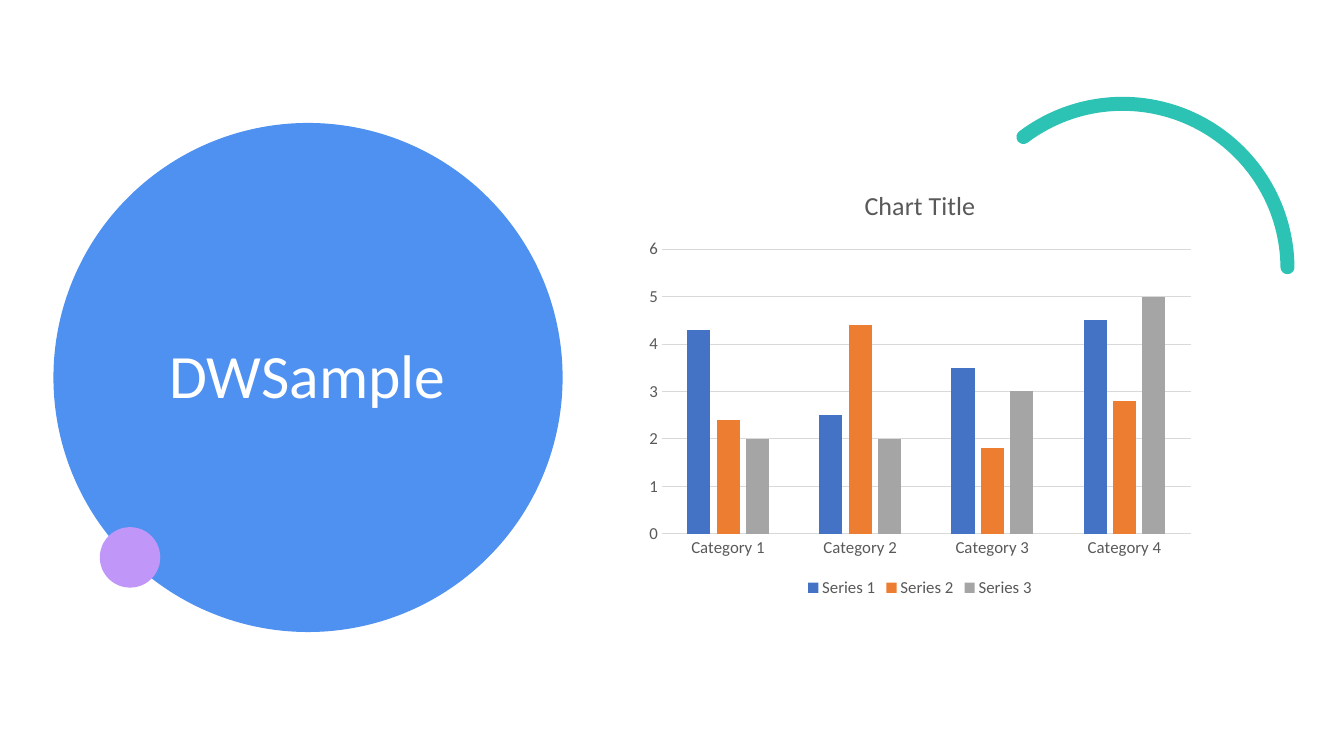
from pptx import Presentation
from pptx.chart.data import CategoryChartData as Data
from pptx.dml.color import RGBColor
from pptx.enum.chart import XL_CHART_TYPE as Kind, XL_LEGEND_POSITION as Place
from pptx.enum.chart import XL_TICK_MARK as Tick
from pptx.enum.shapes import MSO_SHAPE as Shape
from pptx.enum.text import MSO_ANCHOR as Anchor, PP_ALIGN as Align
from pptx.oxml.ns import qn
from pptx.util import Inches, Pt

BLUE = RGBColor(0x4E, 0x91, 0xF0)
TEAL = RGBColor(0x2C, 0xC3, 0xB4)
LILAC = RGBColor(0xC0, 0x97, 0xF8)
WHITE = RGBColor(0xFF, 0xFF, 0xFF)
GRAY = RGBColor(0x59, 0x59, 0x59)
PALE = RGBColor(0xD9, 0xD9, 0xD9)
BARS = [
    RGBColor(0x44, 0x72, 0xC4),
    RGBColor(0xED, 0x7D, 0x31),
    RGBColor(0xA5, 0xA5, 0xA5),
]
FONT = "Calibri"
CATS = ["Category 1", "Category 2", "Category 3", "Category 4"]
ROWS = {
    "Series 1": (4.3, 2.5, 3.5, 4.5),
    "Series 2": (2.4, 4.4, 1.8, 2.8),
    "Series 3": (2, 2, 3, 5),
}


def style(font, size, color):
    """Set the face, size and colour of a font."""
    font.name, font.size, font.bold = FONT, Pt(size), False
    font.color.rgb = color


def add_disc(slide, left, top, size, color):
    """Add a filled circle without an outline."""
    disc = slide.shapes.add_shape(
        Shape.OVAL, Inches(left), Inches(top), Inches(size), Inches(size))
    disc.shadow.inherit = False
    disc.fill.solid()
    disc.fill.fore_color.rgb = color
    disc.line.fill.background()


def add_arc(slide, left, top, size, start, end, turn):
    """Add a thick round-capped arc between two angles in degrees."""
    arc = slide.shapes.add_shape(
        Shape.ARC, Inches(left), Inches(top), Inches(size), Inches(size))
    arc.adjustments[0] = start * 0.6
    arc.adjustments[1] = end * 0.6
    arc.rotation = turn
    arc.shadow.inherit = False
    arc.fill.background()
    arc.line.color.rgb = TEAL
    arc.line.width = Pt(10)
    arc.element.spPr.find(qn("a:ln")).set("cap", "rnd")


def add_title(slide, text, left, top, width, height):
    """Add the centred white heading."""
    box = slide.shapes.add_textbox(
        Inches(left), Inches(top), Inches(width), Inches(height))
    frame = box.text_frame
    frame.word_wrap = True
    frame.vertical_anchor = Anchor.MIDDLE
    frame.text = text
    para = frame.paragraphs[0]
    para.alignment = Align.CENTER
    para.line_spacing = 0.9
    style(para.runs[0].font, 44, WHITE)


def format_axes(chart):
    """Style both axes and the value gridlines."""
    for axis in (chart.category_axis, chart.value_axis):
        axis.major_tick_mark = axis.minor_tick_mark = Tick.NONE
        style(axis.tick_labels.font, 12, GRAY)
    chart.value_axis.has_major_gridlines = True
    chart.value_axis.format.line.fill.background()
    for part in (chart.category_axis, chart.value_axis.major_gridlines):
        part.format.line.color.rgb = PALE
        part.format.line.width = Pt(0.75)


def add_bars(slide, left, top, width, height):
    """Add the clustered column chart with title and legend."""
    data = Data()
    data.categories = CATS
    for name, vals in ROWS.items():
        data.add_series(name, vals)
    chart = slide.shapes.add_chart(
        Kind.COLUMN_CLUSTERED, Inches(left), Inches(top),
        Inches(width), Inches(height), data).chart
    style(chart.font, 12, GRAY)
    chart.has_title = True
    head = chart.chart_title.text_frame
    head.text = "Chart Title"
    style(head.paragraphs[0].runs[0].font, 18.6, GRAY)
    chart.has_legend = True
    chart.legend.position = Place.BOTTOM
    chart.legend.include_in_layout = False
    style(chart.legend.font, 12, GRAY)
    format_axes(chart)
    plot = chart.plots[0]
    plot.gap_width, plot.overlap = 219, -27
    plot.vary_by_categories = False
    for bar, color in zip(plot.series, BARS):
        bar.format.fill.solid()
        bar.format.fill.fore_color.rgb = color


def main():
    """Build and save the slide."""
    deck = Presentation()
    deck.slide_width, deck.slide_height = Inches(13.33), Inches(7.5)
    slide = deck.slides.add_slide(deck.slide_layouts[6])
    add_disc(slide, 0.53, 1.22, 5.05, BLUE)
    add_arc(slide, 9.5, 1.03, 3.27, 262.8, 29.3, 330.2)
    add_disc(slide, 0.99, 5.23, 0.6, LILAC)
    add_title(slide, "DWSample", 1.28, 1.53, 3.54, 4.45)
    add_bars(slide, 6.33, 1.67, 5.59, 4.3)
    deck.save("out.pptx")


if __name__ == "__main__":
    main()
